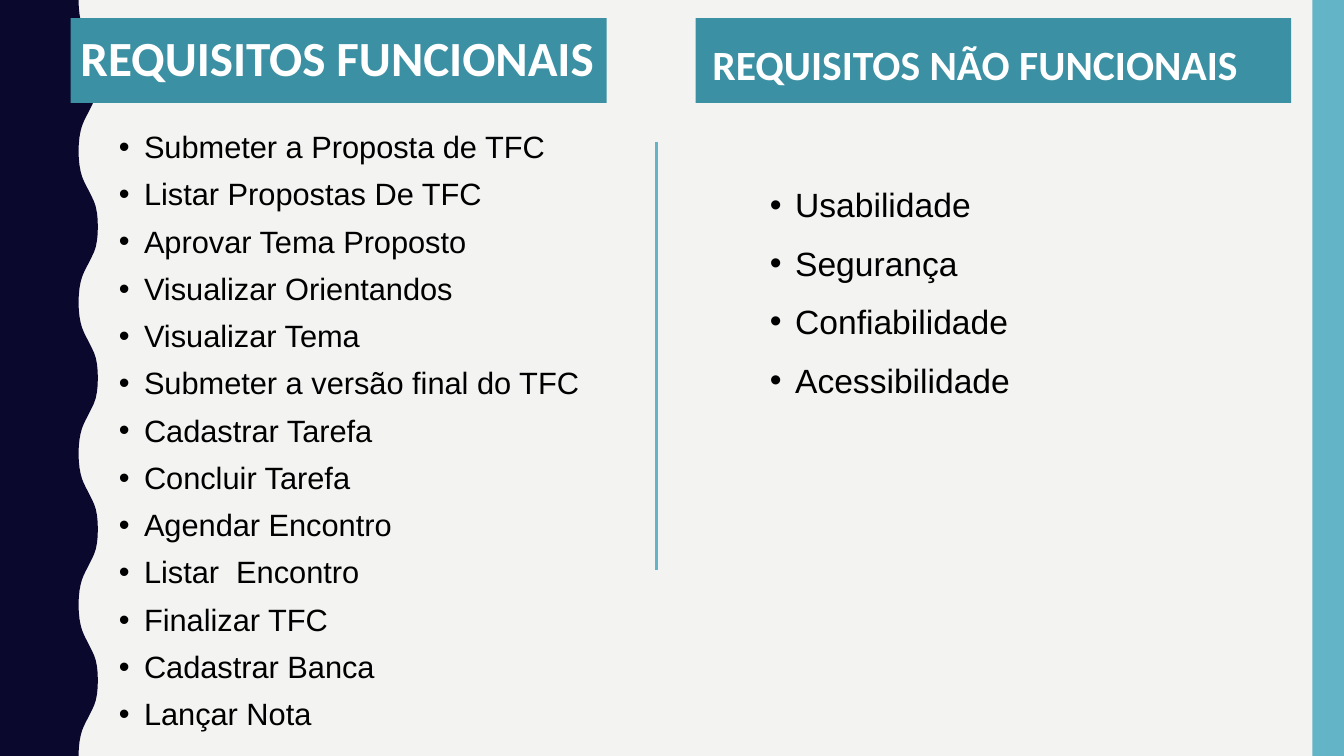
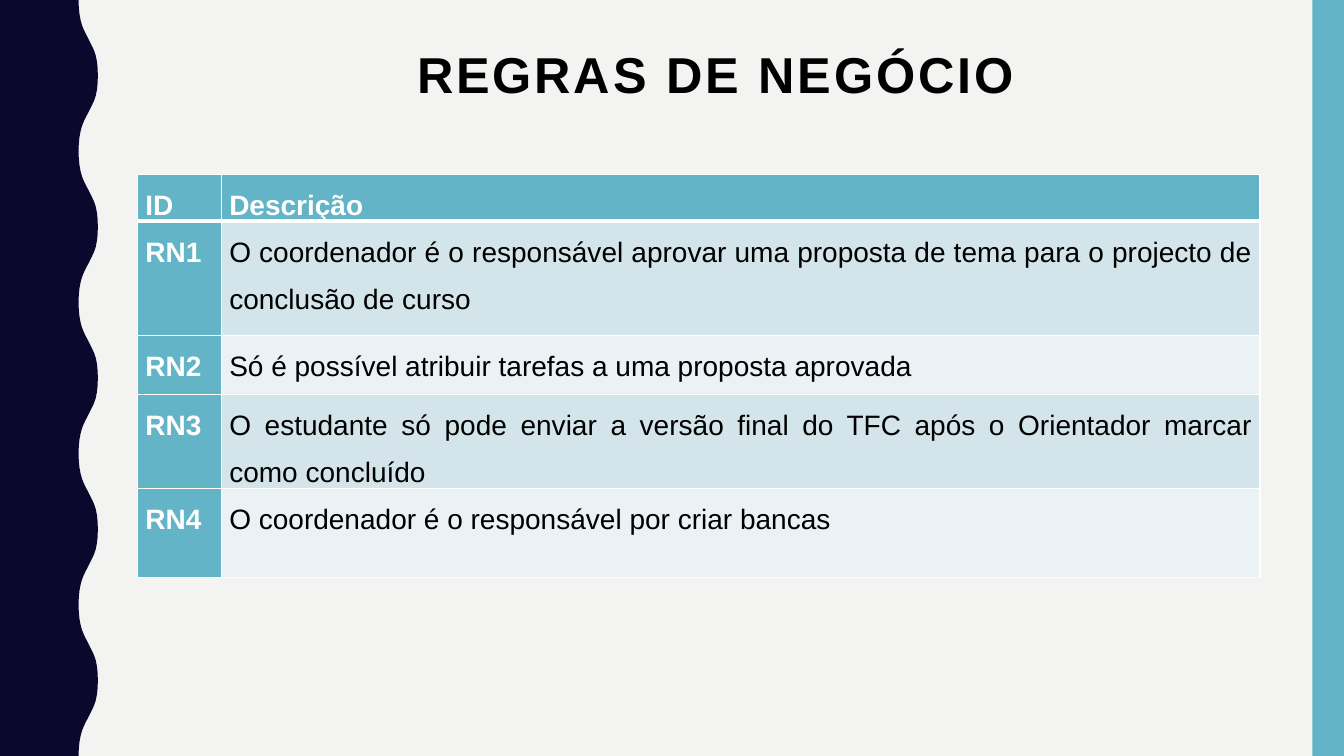
from lxml import etree
from pptx import Presentation
from pptx.dml.color import RGBColor
from pptx.enum import shapes, text
from pptx.oxml import ns
from pptx.util import Pt

COLOURS = {
    "background": "F3F3F2", "navy": "0B082E", "sky": "62B4C6", "teal": "3B90A3",
    "white": "FFFFFF", "black": "000000", "band_dark": "D3E5EA", "band_light": "EAF2F5",
}
WIDTH, HEIGHT = 960, 540
BODY_FONT, HEADING_FONT = "Arial", "Calibri"
WAVE_HALF = 54
WAVE_STEPS = [
    (56.2, 0), (56.3, 5), (56.8, 10), (57.6, 14.4), (58.6, 18), (59.8, 21), (61.2, 24),
    (62.8, 27), (64.3, 30), (65.8, 33), (67.2, 36), (68.4, 39.6), (69.3, 44), (69.8, 49), (69.9, 54),
]
FUNCTIONAL = [
    "Submeter a Proposta de TFC", "Listar Propostas De TFC", "Aprovar Tema Proposto",
    "Visualizar Orientandos", "Visualizar Tema", "Submeter a versão final do TFC",
    "Cadastrar Tarefa", "Concluir Tarefa", "Agendar Encontro", "Listar  Encontro",
    "Finalizar TFC", "Cadastrar Banca", "Lançar Nota",
]
NON_FUNCTIONAL = ["Usabilidade", "Segurança", "Confiabilidade", "Acessibilidade"]
RULES = [
    ("ID", "Descrição"),
    ("RN1", "O coordenador é o responsável aprovar uma proposta de tema para o projecto de conclusão de curso"),
    ("RN2", "Só é possível atribuir tarefas a uma proposta aprovada"),
    ("RN3", "O estudante só pode enviar a versão final do TFC após o Orientador marcar como concluído"),
    ("RN4", "O coordenador é o responsável por criar bancas"),
]


def colour(name):
    """Return the named colour."""
    return RGBColor.from_string(COLOURS[name])


def points(box):
    """Turn a box of numbers into lengths."""
    return [Pt(value) for value in box]


def paint(shape, name):
    """Give a shape a plain fill without line or shadow."""
    shape.shadow.inherit = False
    shape.fill.solid()
    shape.fill.fore_color.rgb = colour(name)
    shape.line.fill.background()


def add_block(slide, box, name):
    """Add a filled rectangle."""
    shape = slide.shapes.add_shape(shapes.MSO_SHAPE.RECTANGLE, *points(box))
    paint(shape, name)


def write(paragraph, words, size, name, bold=False, font=BODY_FONT, spacing=0.9, align=None):
    """Fill a paragraph and format its run."""
    paragraph.text = words
    paragraph.line_spacing = spacing
    paragraph.alignment = align
    run = paragraph.runs[0]
    run.font.size = Pt(size)
    run.font.name = font
    run.font.bold = bold
    run.font.color.rgb = colour(name)
    return run


def add_text_frame(slide, box, anchor=text.MSO_ANCHOR.TOP):
    """Add a wrapping text box and return its frame."""
    frame = slide.shapes.add_textbox(*points(box)).text_frame
    frame.word_wrap = True
    frame.vertical_anchor = anchor
    return frame


def add_wave(slide):
    """Draw the navy band with its wavy right edge."""
    rising = WAVE_STEPS[1:]
    falling = [(x, 2 * WAVE_HALF - y) for x, y in reversed(WAVE_STEPS[:-1])]
    edge = [(x, y + start) for start in range(0, HEIGHT, 2 * WAVE_HALF) for x, y in rising + falling]
    builder = slide.shapes.build_freeform(0, 0, scale=Pt(1) / 100)
    outline = [WAVE_STEPS[0], *edge, (0, HEIGHT)]
    builder.add_line_segments([(round(x * 100), round(y * 100)) for x, y in outline], close=True)
    paint(builder.convert_to_shape(), "navy")


def add_base(presentation):
    """Add a slide with the shared background and side bands."""
    slide = presentation.slides.add_slide(presentation.slide_layouts[6])
    slide.background.fill.solid()
    slide.background.fill.fore_color.rgb = colour("background")
    add_wave(slide)
    add_block(slide, (937.5, 0, WIDTH - 937.5, HEIGHT), "sky")
    return slide


def add_heading(slide, box, words, size, spacing, shift=(0, 0)):
    """Add a teal banner with its heading, shifted inside the banner."""
    left, top, width, height = box
    add_block(slide, box, "teal")
    inner = (left + shift[0], top + shift[1], width - 2 * shift[0], height)
    frame = add_text_frame(slide, inner, text.MSO_ANCHOR.MIDDLE)
    frame.margin_right = 0
    write(frame.paragraphs[0], words, size, "white", True, HEADING_FONT, spacing)


def add_bullets(slide, box, items, size, spacing, align=None):
    """Add a bulleted list."""
    frame = add_text_frame(slide, box)
    for index, item in enumerate(items):
        paragraph = frame.add_paragraph() if index else frame.paragraphs[0]
        write(paragraph, item, size, "black", spacing=spacing, align=align)
        paragraph.space_before = Pt(10)
        properties = paragraph._p.get_or_add_pPr()
        properties.set("marL", str(Pt(18)))
        properties.set("indent", str(-Pt(18)))
        etree.SubElement(properties, ns.qn("a:buFont"), typeface=BODY_FONT)
        etree.SubElement(properties, ns.qn("a:buChar"), char="•")


def add_divider(slide, x, top, bottom):
    """Add the vertical line between the columns."""
    line = slide.shapes.add_connector(shapes.MSO_CONNECTOR.STRAIGHT, *points((x, top, x, bottom)))
    line.line.color.rgb = colour("sky")
    line.line.width = Pt(2.25)
    etree.SubElement(line._element.spPr, ns.qn("a:effectLst"))


def set_borders(cell, widths):
    """Draw white borders, given widths for left, right, top and bottom."""
    properties = cell._tc.get_or_add_tcPr()
    for index, (side, width) in enumerate(zip("LRTB", widths)):
        line = etree.Element(ns.qn(f"a:ln{side}"), w=str(Pt(width)))
        fill = etree.SubElement(line, ns.qn("a:solidFill"))
        etree.SubElement(fill, ns.qn("a:srgbClr"), val=COLOURS["white"])
        properties.insert(index, line)


def add_rules_table(slide, left, top, columns, heights):
    """Add the table of business rules."""
    box = (left, top, sum(columns), sum(heights))
    table = slide.shapes.add_table(len(heights), len(columns), *points(box)).table
    for column, width in zip(table.columns, columns):
        column.width = Pt(width)
    for row, (height, entries) in enumerate(zip(heights, RULES)):
        table.rows[row].height = Pt(height)
        for index, words in enumerate(entries):
            cell = table.cell(row, index)
            head = row == 0 or index == 0
            band = "band_dark" if row % 2 else "band_light"
            cell.fill.solid()
            cell.fill.fore_color.rgb = colour("sky" if head else band)
            cell.margin_left = cell.margin_right = Pt(5.4)
            cell.margin_top = cell.margin_bottom = 0
            paragraph = cell.text_frame.paragraphs[0]
            write(paragraph, words, 20, "white" if head else "black", head,
                  spacing=1.5, align=text.PP_ALIGN.JUSTIFY)
            paragraph.space_before = paragraph.space_after = Pt(6)
            set_borders(cell, (1, 1, 3 if row == 1 else 1, 3 if row == 0 else 1))


def add_title(slide, box, words):
    """Add the centred, letter-spaced slide title."""
    frame = add_text_frame(slide, box)
    run = write(frame.paragraphs[0], words, 36, "black", True, align=text.PP_ALIGN.CENTER)
    run.font._element.set("spc", "200")


def build_requirements(presentation):
    """Build the slide with the two lists of requirements."""
    slide = add_base(presentation)
    add_heading(slide, (50.4, 13, 383, 60.5), "REQUISITOS FUNCIONAIS", 35.1, 0.9)
    add_bullets(slide, (77.8, 90.7, 378.7, 378.7), FUNCTIONAL, 22, 0.9)
    add_heading(slide, (496.8, 13, 425.5, 60.5), "REQUISITOS NÃO FUNCIONAIS", 29.7, 0.8, (5, 5.8))
    add_bullets(slide, (542.9, 125.3, 355, 173.5), NON_FUNCTIONAL, 24, 1.1, text.PP_ALIGN.JUSTIFY)
    add_divider(slide, 468.7, 101.5, 406.8)


def build_rules(presentation):
    """Build the slide with the business rules."""
    slide = add_base(presentation)
    add_rules_table(slide, 98.4, 124.6, (60, 741.6), (32.4, 81.4, 42.5, 38.9, 63.4))
    add_title(slide, (190.8, 32.4, 640.8, 56.9), "REGRAS DE NEGÓCIO")


def main():
    """Build and save the presentation."""
    presentation = Presentation()
    presentation.slide_width, presentation.slide_height = Pt(WIDTH), Pt(HEIGHT)
    build_requirements(presentation)
    build_rules(presentation)
    presentation.save("out.pptx")


if __name__ == "__main__":
    main()
